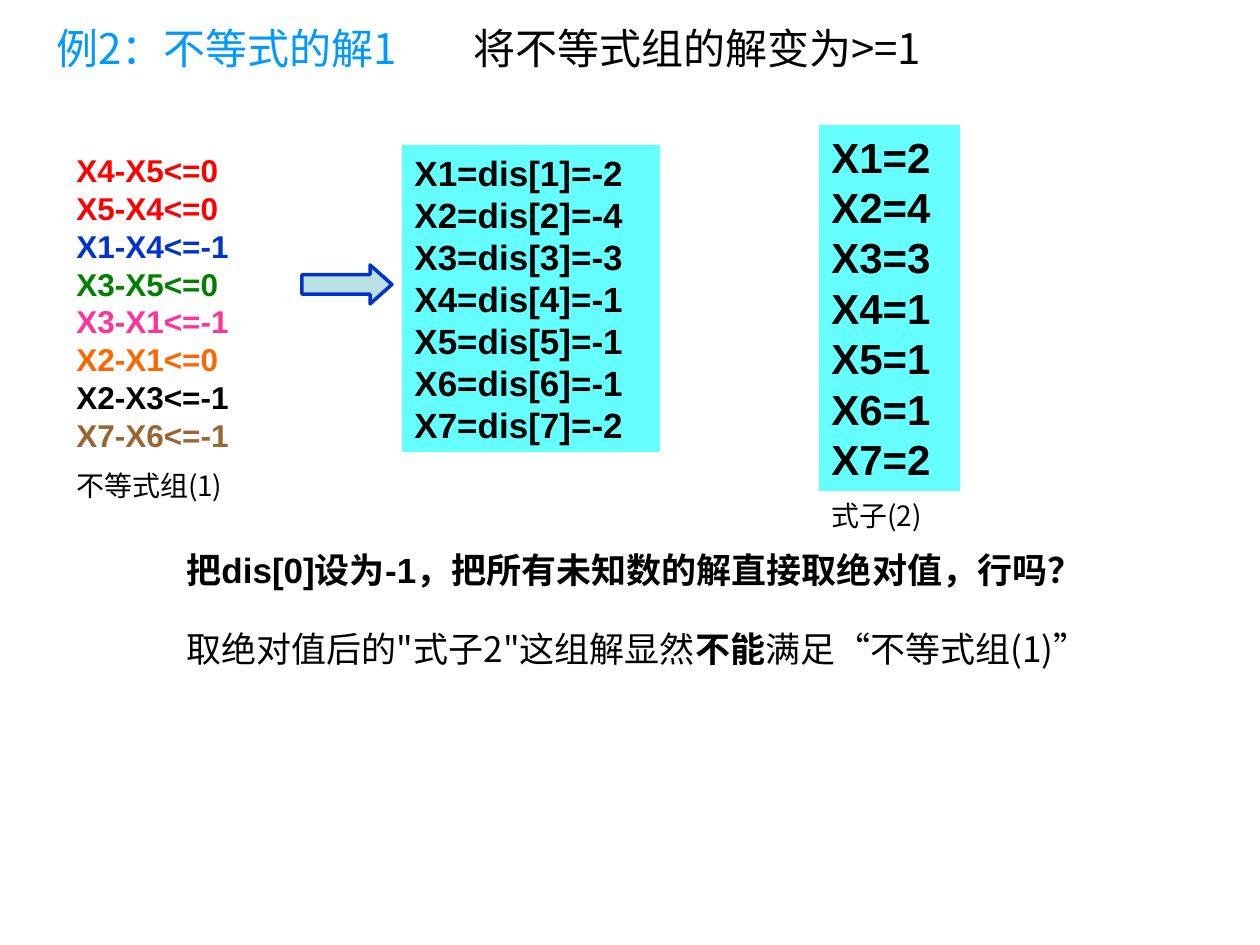
"""Build the slide on turning a solution of inequalities into values of at least 1."""
from dataclasses import dataclass

from lxml import etree
from pptx import Presentation, util as u
from pptx.dml import color
from pptx.enum import shapes, text
from pptx.oxml import ns


@dataclass(frozen=True)
class Theme:
    """Colours, fonts and type sizes of the slide."""
    black: str = "000000"
    white: str = "FFFFFF"
    sky: str = "0099FF"
    red: str = "FF0000"
    blue: str = "0033CC"
    green: str = "008000"
    pink: str = "FF3399"
    orange: str = "FF6600"
    brown: str = "996633"
    cyan: str = "66FFFF"
    pale: str = "BBE0E3"
    latin: str = "Arial"
    chinese: str = "Noto Sans CJK SC"
    heading: int = 24
    body: int = 20
    system: int = 18
    caption: int = 16


class SlideBuilder:
    """Draws styled elements on the current slide, with lengths in px."""

    def __init__(self, slide, theme):
        """Keep the slide and its theme."""
        self.slide = slide
        self.theme = theme

    @staticmethod
    def emu(px):
        """Turn px into EMU at 126 px to the inch."""
        return u.Emu(round(px * 914400 / 126))

    def bounds(self, area):
        """Turn left, top, width and height into EMU."""
        return [self.emu(px) for px in area]

    def span(self, para, words, size, name, colour, bold=False):
        """Add one formatted run to a paragraph."""
        span = para.add_run()
        span.text = words
        formats = {"size": u.Pt(size), "name": name, "bold": bold}
        for key, value in formats.items():
            setattr(span.font, key, value)
        span.font.color.rgb = color.RGBColor.from_string(colour)
        east = etree.SubElement(span.font._element, ns.qn("a:ea"))
        east.set("typeface", self.theme.chinese)

    def fill_text(self, box, lines, size, name):
        """Fill a box with lines, each a list of (words, colour, bold)."""
        frame = box.text_frame
        formats = {"word_wrap": True, "auto_size": text.MSO_AUTO_SIZE.NONE,
                   "vertical_anchor": text.MSO_ANCHOR.TOP}
        for key, value in formats.items():
            setattr(frame, key, value)
        for index, line in enumerate(lines):
            para = frame.add_paragraph() if index else frame.paragraphs[0]
            para.alignment = text.PP_ALIGN.LEFT
            for words, colour, bold in line:
                self.span(para, words, size, name, colour, bold)

    def title(self, area, words):
        """Place and fill the title placeholder."""
        box = self.slide.shapes.title
        for key, value in zip(("left", "top", "width", "height"), self.bounds(area)):
            setattr(box, key, value)
        self.fill_text(box, [[(words, self.theme.sky, False)]],
                       self.theme.heading, self.theme.chinese)

    def label(self, area, spans, size, name):
        """Add a one-paragraph text box."""
        self.fill_text(self.slide.shapes.add_textbox(*self.bounds(area)), [spans], size, name)

    def shape(self, kind, area, fill):
        """Add a filled shape without line or shadow."""
        shape = self.slide.shapes.add_shape(kind, *self.bounds(area))
        shape.shadow.inherit = False
        shape.fill.solid()
        shape.fill.fore_color.rgb = color.RGBColor.from_string(fill)
        shape.line.fill.background()
        return shape

    def panel(self, area, fill, lines, size):
        """Add a rectangle with one bold formula a line, given as (words, colour)."""
        box = self.shape(shapes.MSO_SHAPE.RECTANGLE, area, fill)
        self.fill_text(box, [[(words, colour, True)] for words, colour in lines],
                       size, self.theme.latin)

    def arrow(self, area):
        """Add the outlined block arrow."""
        arrow = self.shape(shapes.MSO_SHAPE.RIGHT_ARROW, area, self.theme.pale)
        arrow.adjustments[1] = 0.56
        arrow.line.color.rgb = color.RGBColor.from_string(self.theme.blue)
        arrow.line.width = u.Pt(2)


def main():
    """Build and save the deck."""
    theme = Theme()
    deck = Presentation()
    deck.slide_width, deck.slide_height = u.Inches(10), u.Inches(7.5)
    page = SlideBuilder(deck.slides.add_slide(deck.slide_layouts[5]), theme)

    inequalities = [
        ("X4-X5<=0", theme.red), ("X5-X4<=0", theme.red),
        ("X1-X4<=-1", theme.blue), ("X3-X5<=0", theme.green),
        ("X3-X1<=-1", theme.pink), ("X2-X1<=0", theme.orange),
        ("X2-X3<=-1", theme.black), ("X7-X6<=-1", theme.brown),
    ]
    solution = list(enumerate([2, 4, 3, 1, 1, 1, 2], start=1))
    distances = [(f"X{i}=dis[{i}]=-{value}", theme.black) for i, value in solution]
    absolutes = [(f"X{i}={value}", theme.black) for i, value in solution]

    page.title((44, 16, 602, 63), "例2：不等式的解1")
    page.label((461, 16, 556, 63), [("将不等式组的解变为>=1", theme.black, False)],
               theme.heading, theme.chinese)

    page.panel((64, 145, 208, 315), theme.white, inequalities, theme.system)
    page.panel((402, 145, 258, 307), theme.cyan, distances, theme.body)
    page.panel((819, 125, 141, 366), theme.cyan, absolutes, theme.heading)
    page.arrow((302, 265, 90, 39))

    for left, top, words in ((64, 462, "不等式组(1)"), (819, 492, "式子(2)")):
        page.label((left, top, 214, 47), [(words, theme.black, False)],
                   theme.caption, theme.chinese)

    page.label((174, 542, 982, 55),
               [("把dis[0]设为-1，把所有未知数的解直接取绝对值，行吗？", theme.black, True)],
               theme.body, theme.latin)
    page.label((174, 621, 963, 97),
               [("取绝对值后的\"式子2\"这组解显然", theme.black, False),
                ("不能", theme.black, True),
                ("满足“不等式组(1)”", theme.black, False)],
               theme.body, theme.chinese)
    deck.save("out.pptx")


if __name__ == "__main__":
    main()
